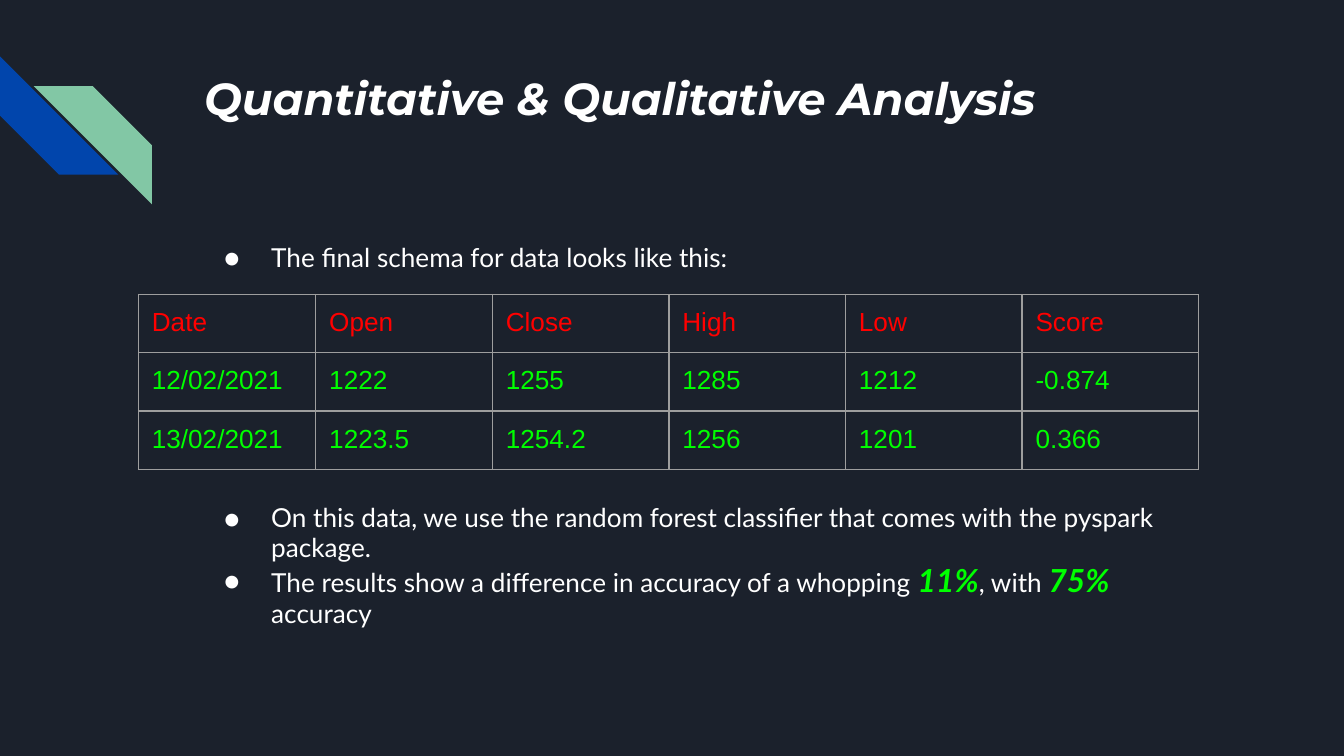
import pptx
import pptx.dml.color
import pptx.enum.shapes
import pptx.oxml
import pptx.oxml.ns
import pptx.util
from pptx.util import Inches

WHITE, GREEN, RED = "FFFFFF", "00FF00", "FF0000"


def rgb(value):
    return pptx.dml.color.RGBColor.from_string(value)


def style(run, font, size, color, strong=False):
    run.font.name = font
    run.font.size = pptx.util.Pt(size)
    run.font.color.rgb = rgb(color)
    run.font.bold = run.font.italic = strong


# Widescreen 16:9 slide
deck = pptx.Presentation()
deck.slide_width = Inches(10)
deck.slide_height = Inches(10) * 9 // 16
slide = deck.slides.add_slide(deck.slide_layouts[6])
slide.background.fill.solid()
slide.background.fill.fore_color.rgb = rgb("1B212C")

# Corner stripes
blue_stripe, green_stripe = [
    slide.shapes.add_shape(pptx.enum.shapes.MSO_SHAPE.DIAGONAL_STRIPE,
                           Inches(left), Inches(top), Inches(0.88), Inches(0.88))
    for left, top in [(0, 0.42), (0.25, 0.64)]
]
blue_stripe.rotation = 270
green_stripe._element.spPr.xfrm.set("flipH", "1")
for stripe, color in [(blue_stripe, "0145AC"), (green_stripe, "82C7A5")]:
    stripe.adjustments[0] = 0.5
    stripe.shadow.inherit = False
    stripe.fill.solid()
    stripe.fill.fore_color.rgb = rgb(color)
    stripe.line.fill.background()

# Title and the bullets above and below the table
title, intro, findings = [
    slide.shapes.add_textbox(Inches(1.42), Inches(top), Inches(7.7), Inches(height)).text_frame
    for top, height in [(0.43, 1), (1.71, 0.45), (3.65, 1.24)]
]
for frame in (title, intro, findings):
    frame.word_wrap = True
    frame.margin_left = frame.margin_right = Inches(0.1)
    frame.margin_top = frame.margin_bottom = Inches(0.1)

title.text = "Quantitative & Qualitative Analysis"
style(title.paragraphs[0].runs[0], "Montserrat", 24, WHITE, True)

# Each bullet is a list of runs: text and whether it is highlighted
bullets = [
    (intro.paragraphs[0], [("The final schema for data looks like this:", False)]),
    (findings.paragraphs[0], [("On this data, we use the random forest classifier "
                               "that comes with the pyspark package.", False)]),
    (findings.add_paragraph(), [
        ("The results show a difference in accuracy of a whopping ", False),
        ("11%", True), (", with ", False), ("75%", True), (" accuracy", False)]),
]
for paragraph, pieces in bullets:
    paragraph.line_spacing = 0.95
    properties = paragraph._p.get_or_add_pPr()
    properties.set("marL", str(Inches(0.5)))
    properties.set("indent", str(Inches(-0.35)))
    for markup in (f'<a:buClr %s><a:srgbClr val="{WHITE}"/></a:buClr>',
                   '<a:buSzPts %s val="1400"/>',
                   '<a:buFont %s typeface="Lato"/>',
                   '<a:buChar %s char="●"/>'):
        properties.append(pptx.oxml.parse_xml(markup % pptx.oxml.ns.nsdecls("a")))
    for text, highlighted in pieces:
        run = paragraph.add_run()
        run.text = text
        style(run, "Lato", 17 if highlighted else 14,
              GREEN if highlighted else WHITE, highlighted)

# Price and score table: rows grow to fit their text
records = [
    ["Date", "Open", "Close", "High", "Low", "Score"],
    ["12/02/2021", "1222", "1255", "1285", "1212", "-0.874"],
    ["13/02/2021", "1223.5", "1254.2", "1256", "1201", "0.366"],
]
table_width, date_width = Inches(7.89), Inches(1.32)
prices = slide.shapes.add_table(len(records), len(records[0]), Inches(1.03), Inches(2.19),
                                table_width, Inches(0.99)).table
prices.first_row = prices.horz_banding = False
for index, column in enumerate(prices.columns):
    column.width = (table_width - date_width) // 5 if index else date_width
for row_index, record in enumerate(records):
    for column_index, value in enumerate(record):
        cell = prices.cell(row_index, column_index)
        cell.text = value
        style(cell.text_frame.paragraphs[0].runs[0], "Arial", 14, GREEN if row_index else RED)
        cell.margin_left = cell.margin_right = Inches(0.1)
        cell.margin_top = cell.margin_bottom = Inches(0.1)
        for side in ("lnL", "lnR", "lnT", "lnB"):
            cell._tc.get_or_add_tcPr().append(pptx.oxml.parse_xml(
                f'<a:{side} {pptx.oxml.ns.nsdecls("a")} w="{pptx.util.Pt(0.75)}">'
                f'<a:solidFill><a:srgbClr val="9E9E9E"/></a:solidFill></a:{side}>'))
        cell.fill.background()

deck.save("out.pptx")
